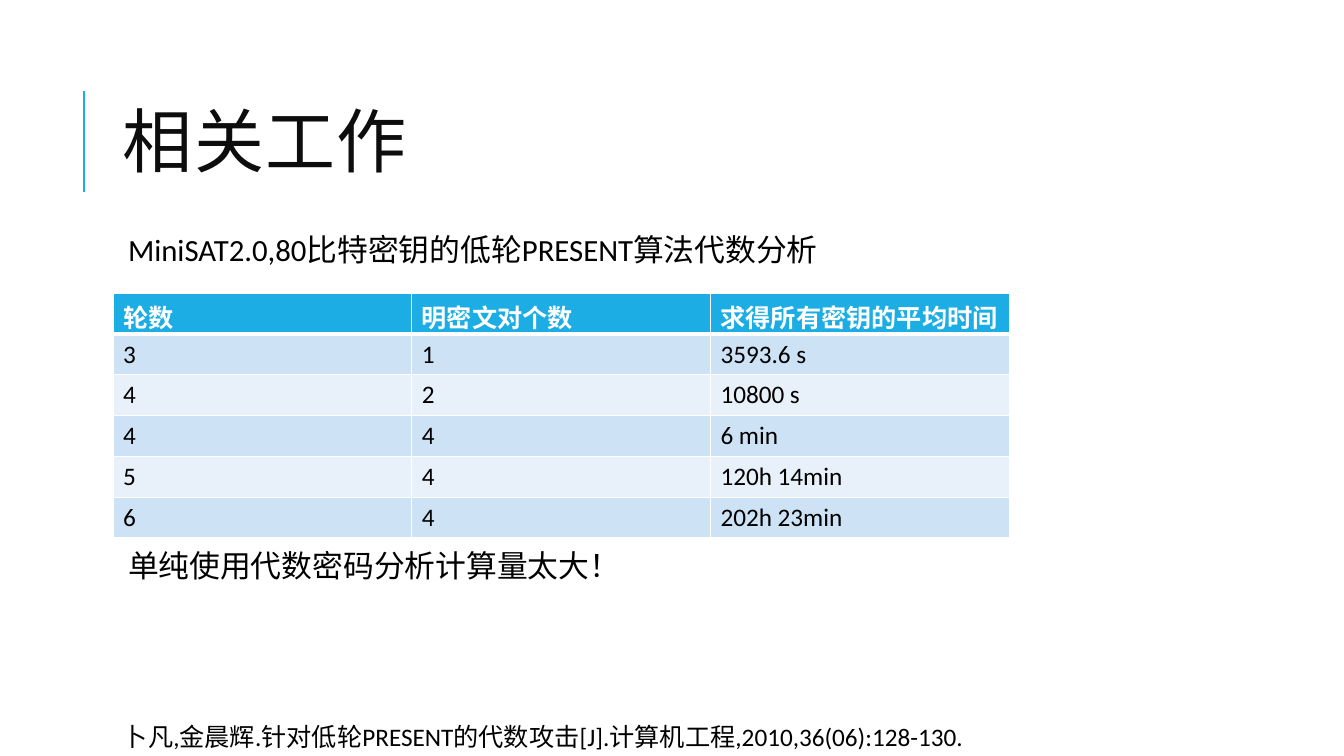
import pptx
import pptx.dml.color
import pptx.enum.shapes
import pptx.enum.text
import pptx.oxml
import pptx.oxml.ns
import pptx.util

PX = 9144  # 100 px to the inch
ACCENT, WHITE, BLACK = "1CADE4", "FFFFFF", "000000"
BANDS = ["CDE3F5", "E8F1FA"]
MIDDLE = pptx.enum.text.MSO_ANCHOR.MIDDLE


def rgb(hex_color):
    return pptx.dml.color.RGBColor.from_string(hex_color)


def write(frame, text, size, color=BLACK, font="Calibri", bold=False):
    """Put one formatted run into the first paragraph of the frame."""
    run = frame.paragraphs[0].add_run()
    run.text = text
    formats = {"name": font, "size": pptx.util.Pt(size), "bold": bold}
    for attribute, value in formats.items():
        setattr(run.font, attribute, value)
    run.font.color.rgb = rgb(color)
    return run


deck = pptx.Presentation()
deck.slide_width, deck.slide_height = 1333 * PX, 750 * PX
slide = deck.slides.add_slide(deck.slide_layouts[6])

# Accent rule beside the title
accent_rule = slide.shapes.add_connector(
    pptx.enum.shapes.MSO_CONNECTOR.STRAIGHT, 83 * PX, 190 * PX, 83 * PX, 90 * PX)
accent_rule.line.color.rgb = rgb(ACCENT)
accent_rule.line.width = pptx.util.Pt(1.5)
pptx.oxml.ns.qn("a:effectLst")
accent_rule._element.spPr.append(pptx.oxml.parse_xml(
    '<a:effectLst xmlns:a="http://schemas.openxmlformats.org/drawingml/2006/main"/>'))

# Title
title = slide.shapes.add_textbox(112 * PX, 64 * PX, 1063 * PX, 164 * PX).text_frame
title.word_wrap = True
title.vertical_anchor = MIDDLE
title.paragraphs[0].line_spacing = 0.8
title_run = write(title, "相关工作", 50, "0D0D0D", "Cabin")
title_run.font._element.set("spc", "100")

# Statements above and below the table
statements = [
    (228, "MiniSAT2.0,80比特密钥的低轮PRESENT算法代数分析"),
    (542, "单纯使用代数密码分析计算量太大！"),
]
for top, text in statements:
    statement = slide.shapes.add_textbox(112 * PX, top * PX, 1063 * PX, 45 * PX).text_frame
    insets = {"margin_left": 15, "margin_top": 5, "margin_right": 5, "margin_bottom": 5}
    for attribute, value in insets.items():
        setattr(statement, attribute, value * PX)
    statement.word_wrap = True
    statement.paragraphs[0].line_spacing = 0.9
    write(statement, text, 22)

# Reference
reference = slide.shapes.add_textbox(112 * PX, 711 * PX, 972 * PX, 40 * PX).text_frame
reference.word_wrap = True
write(reference, "卜凡,金晨辉.针对低轮PRESENT的代数攻击[J].计算机工程,2010,36(06):128-130.", 18)

# Table of solving times
rows = [
    ("轮数", "明密文对个数", "求得所有密钥的平均时间"),
    ("3", "1", "3593.6 s"),
    ("4", "2", "10800 s"),
    ("4", "4", "6 min"),
    ("5", "4", "120h 14min"),
    ("6", "4", "202h 23min"),
]
times = slide.shapes.add_table(
    len(rows), 3, 112 * PX, 291 * PX, 889 * PX, 243 * PX).table
for row_index, row in enumerate(rows):
    header = row_index == 0
    for column_index, text in enumerate(row):
        cell = times.cell(row_index, column_index)
        write(cell.text_frame, text, 18, WHITE if header else BLACK, bold=header)
        cell.fill.solid()
        cell.fill.fore_color.rgb = rgb(ACCENT if header else BANDS[(row_index - 1) % 2])
        widths = {"L": 1, "R": 1, "T": 3 if row_index == 1 else 1, "B": 3 if header else 1}
        for position, (side, width) in enumerate(widths.items()):
            border = pptx.oxml.parse_xml(
                f'<a:ln{side} xmlns:a="http://schemas.openxmlformats.org/drawingml/2006/main"'
                f' w="{pptx.util.Pt(width)}"><a:solidFill><a:srgbClr val="{WHITE}"/>'
                f'</a:solidFill></a:ln{side}>')
            cell._tc.get_or_add_tcPr().insert(position, border)

deck.save("out.pptx")
